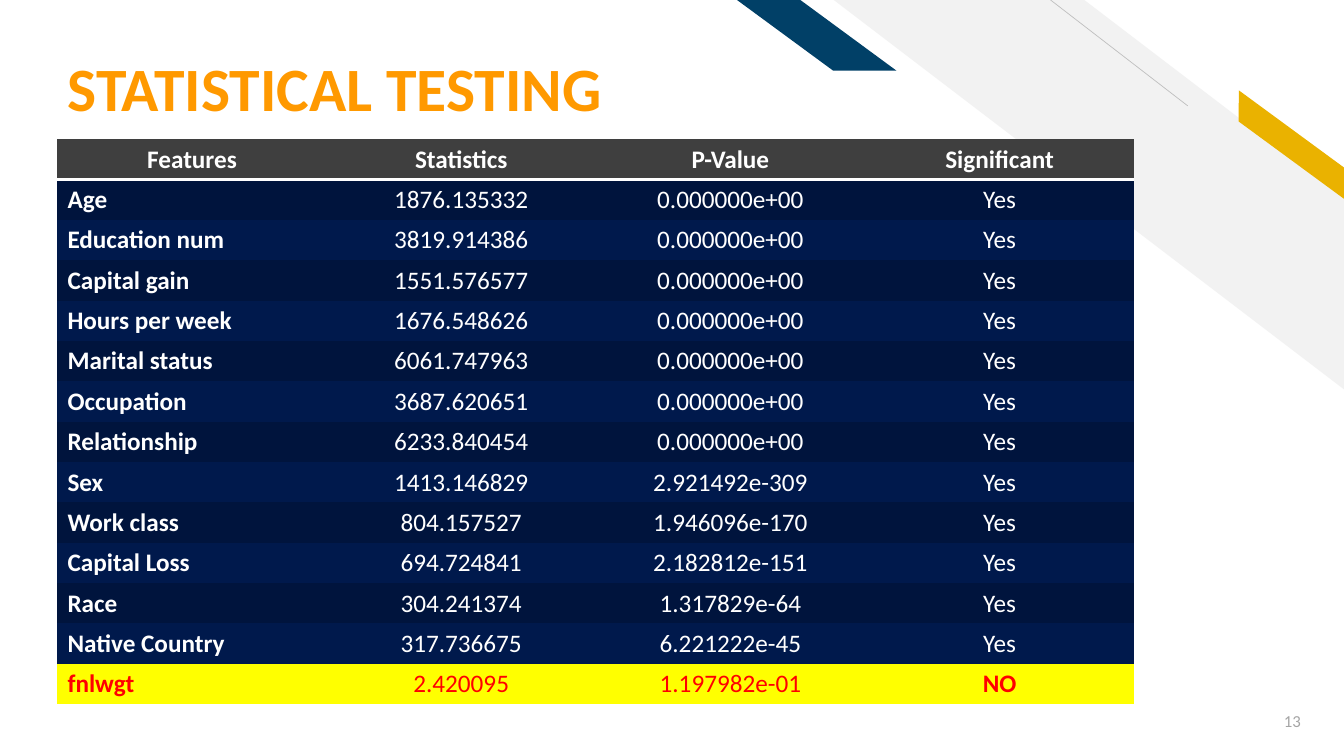
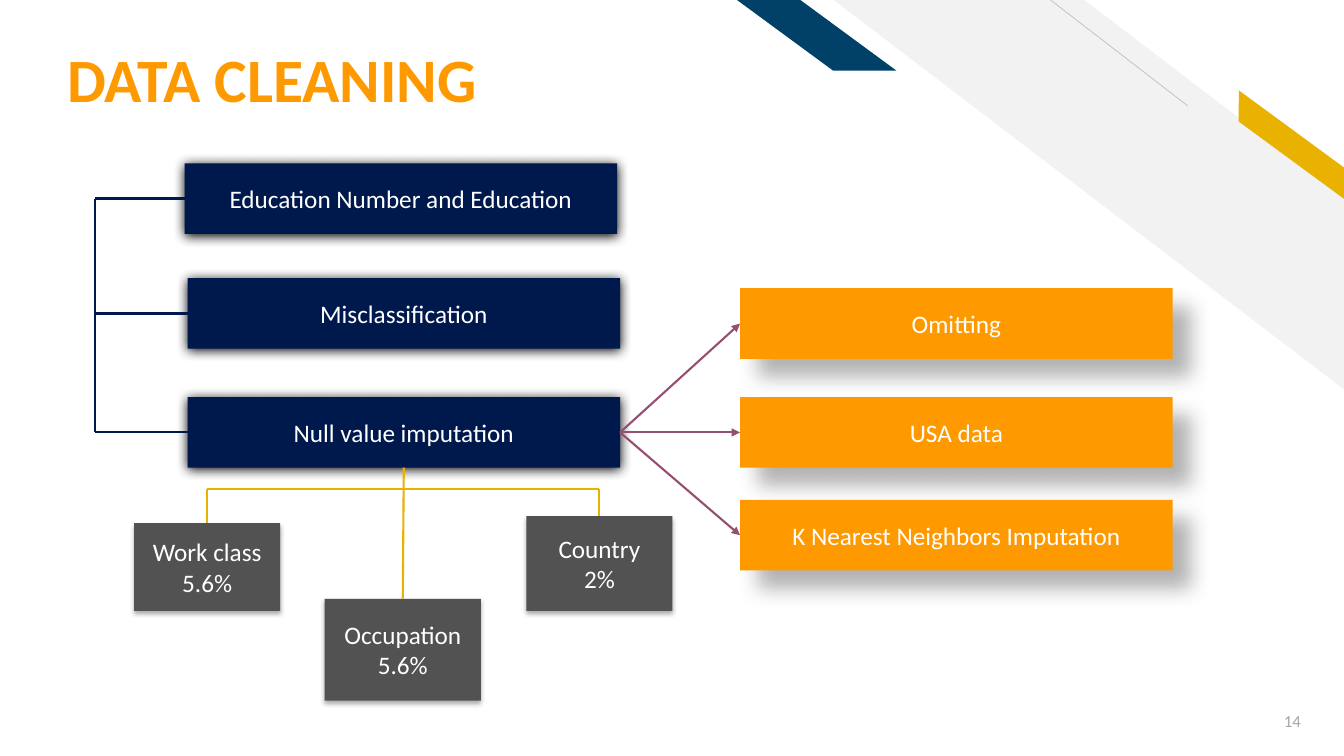
from dataclasses import dataclass

import lxml.etree
import pptx
import pptx.dml.color
import pptx.enum.shapes
import pptx.enum.text
import pptx.oxml.ns
import pptx.util

SHAPE = pptx.enum.shapes.MSO_SHAPE
ALIGN = pptx.enum.text.PP_ALIGN
ANCHOR = pptx.enum.text.MSO_ANCHOR
qn = pptx.oxml.ns.qn

EMU_PER_PX = 9144  # 100 px to the inch
PLAIN_TABLE_STYLE = "{2D5ABB26-0587-4C30-8999-92F81FD0307C}"


@dataclass(frozen=True)
class Shadow:
    opacity: int  # percent
    blur: float  # points
    distance: float  # points
    angle: int  # degrees


@dataclass(frozen=True)
class Theme:
    font: str = "Calibri"
    title_size: int = 44
    body_size: int = 18
    number_size: int = 12
    white: str = "FFFFFF"
    navy: str = "00194C"
    dark_navy: str = "00143D"
    orange: str = "FF9900"
    gold: str = "EAB200"
    teal: str = "014067"
    plum: str = "954F72"
    charcoal: str = "3F3F3F"
    gray: str = "525252"
    band_gray: str = "F2F2F2"
    line_gray: str = "BFBFBF"
    number_gray: str = "A5A5A5"
    yellow: str = "FFFF00"
    red: str = "FF0000"
    glow: Shadow = Shadow(100, 8.5, 1, 90)
    drop: Shadow = Shadow(30, 15, 18, 45)
    soft: Shadow = Shadow(32, 3.5, 2.2, 90)


THEME = Theme()


def px(length):
    return pptx.util.Emu(round(length * EMU_PER_PX))


def rgb(color):
    return pptx.dml.color.RGBColor.from_string(color)


def add_xml(parent, tag, **attributes):
    child = lxml.etree.SubElement(parent, qn(tag))
    for name, value in attributes.items():
        child.set(name, str(value))
    return child


class Deck:
    def __init__(self, width, height):
        self.presentation = pptx.Presentation()
        self.presentation.slide_width = px(width)
        self.presentation.slide_height = px(height)
        self.slide = None

    def start_slide(self, title, title_top, number):
        layout = self.presentation.slide_layouts[5]
        self.slide = self.presentation.slides.add_slide(layout)
        self.decorate()
        self.title(title, title_top)
        self.slide_number(number)

    def set_text(self, text_frame, text, color, size=THEME.body_size, bold=False,
                 align=ALIGN.CENTER):
        text_frame.text = text
        for paragraph in text_frame.paragraphs:
            paragraph.alignment = align
            for run in paragraph.runs:
                run.font.name = THEME.font
                run.font.size = pptx.util.Pt(size)
                run.font.bold = bold
                run.font.color.rgb = rgb(color)

    # Shared slide parts
    def decorate(self):
        self.stripe(SHAPE.DIAGONAL_STRIPE, 827, 0, 507, 387, 0.51, THEME.band_gray)
        self.line((1178, 105), (1042, 0), THEME.line_gray, 0.5)
        self.stripe(SHAPE.PARALLELOGRAM, 1207, 131, 148, 25, 0.72, THEME.gold, 36.3)
        self.stripe(SHAPE.PARALLELOGRAM, 731, 0, 158, 70, 1.36, THEME.teal)

    def stripe(self, kind, left, top, width, height, slant, color, rotation=0):
        shape = self.shape(kind, left, top, width, height, color)
        shape.adjustments[0] = slant
        shape.rotation = rotation
        shape.element.spPr.find(qn("a:xfrm")).set("flipH", "1")

    def title(self, text, top):
        title = self.slide.shapes.title
        title.left, title.top, title.width, title.height = map(px, (57, top, 559, 101))
        text_frame = title.text_frame
        text_frame.auto_size = pptx.enum.text.MSO_AUTO_SIZE.NONE
        text_frame.vertical_anchor = ANCHOR.BOTTOM
        text_frame.margin_bottom = 0
        self.set_text(text_frame, text, THEME.orange, THEME.title_size, True, ALIGN.LEFT)
        text_frame.paragraphs[0].line_spacing = 0.9

    def slide_number(self, number):
        box = self.slide.shapes.add_textbox(px(1219), px(695), px(81), px(40))
        box.text_frame.word_wrap = True
        box.text_frame.vertical_anchor = ANCHOR.MIDDLE
        self.set_text(box.text_frame, str(number), THEME.number_gray,
                      THEME.number_size, align=ALIGN.RIGHT)

    # Shapes and lines
    def shape(self, kind, left, top, width, height, color):
        shape = self.slide.shapes.add_shape(kind, *map(px, (left, top, width, height)))
        shape.shadow.inherit = False
        shape.fill.solid()
        shape.fill.fore_color.rgb = rgb(color)
        shape.line.fill.background()
        return shape

    def box(self, text, left, top, width, height, color, shadow):
        box = self.shape(SHAPE.RECTANGLE, left, top, width, height, color)
        effects = box.element.spPr.find(qn("a:effectLst"))
        outer = add_xml(effects, "a:outerShdw",
                        blurRad=pptx.util.Pt(shadow.blur),
                        dist=pptx.util.Pt(shadow.distance),
                        dir=shadow.angle * 60000, algn="ctr", rotWithShape=0)
        shade = add_xml(outer, "a:srgbClr", val="000000")
        add_xml(shade, "a:alpha", val=shadow.opacity * 1000)
        box.text_frame.vertical_anchor = ANCHOR.MIDDLE
        self.set_text(box.text_frame, text, THEME.white)
        return box

    def line(self, start, end, color, weight=1.5):
        connector = self.slide.shapes.add_connector(
            pptx.enum.shapes.MSO_CONNECTOR.STRAIGHT, *map(px, (*start, *end)))
        connector.line.color.rgb = rgb(color)
        connector.line.width = pptx.util.Pt(weight)
        add_xml(connector.element.spPr, "a:effectLst")
        return connector

    def polyline(self, points, color):
        for start, end in zip(points, points[1:]):
            self.line(start, end, color)

    def link(self, source, source_site, target, target_site, color, arrow=False):
        connector = self.line((0, 0), (0, 0), color)
        connector.begin_connect(source, source_site)
        connector.end_connect(target, target_site)
        if arrow:
            add_xml(connector.element.spPr.find(qn("a:ln")), "a:tailEnd", type="triangle")

    # Table
    def table(self, rows, left, top, column_width, row_height):
        frame = self.slide.shapes.add_table(
            len(rows), len(rows[0]), px(left), px(top),
            px(column_width * len(rows[0])), px(row_height * len(rows)))
        table = frame.table
        frame.element.find(".//" + qn("a:tableStyleId")).text = PLAIN_TABLE_STYLE
        last = len(rows) - 1
        for row_index, values in enumerate(rows):
            table.rows[row_index].height = px(row_height)
            header, highlight = row_index == 0, row_index == last
            if header:
                fill = THEME.charcoal
            elif highlight:
                fill = THEME.yellow
            else:
                fill = THEME.dark_navy if row_index % 2 else THEME.navy
            for column_index, value in enumerate(values):
                cell = table.cell(row_index, column_index)
                cell.fill.solid()
                cell.fill.fore_color.rgb = rgb(fill)
                cell.vertical_anchor = ANCHOR.MIDDLE
                label = column_index == 0
                verdict = highlight and column_index == len(values) - 1
                self.set_text(cell.text_frame, value,
                              THEME.red if highlight else THEME.white,
                              bold=header or label or verdict,
                              align=ALIGN.LEFT if label and not header else ALIGN.CENTER)
        self.header_border(frame, THEME.white, 2)

    def header_border(self, frame, color, weight):
        header = frame.element.find(".//" + qn("a:tr"))
        for properties in header.findall(qn("a:tc") + "/" + qn("a:tcPr")):
            border = add_xml(properties, "a:lnB", w=pptx.util.Pt(weight))
            add_xml(add_xml(border, "a:solidFill"), "a:srgbClr", val=color)
            properties.insert(0, border)  # borders come before the fill


# Slide content
ZERO = "0.000000e+00"
TEST_RESULTS = [
    ("Features", "Statistics", "P-Value", "Significant"),
    ("Age", "1876.135332", ZERO, "Yes"),
    ("Education num", "3819.914386", ZERO, "Yes"),
    ("Capital gain", "1551.576577", ZERO, "Yes"),
    ("Hours per week", "1676.548626", ZERO, "Yes"),
    ("Marital status", "6061.747963", ZERO, "Yes"),
    ("Occupation", "3687.620651", ZERO, "Yes"),
    ("Relationship", "6233.840454", ZERO, "Yes"),
    ("Sex", "1413.146829", "2.921492e-309", "Yes"),
    ("Work class", "804.157527", "1.946096e-170", "Yes"),
    ("Capital Loss", "694.724841", "2.182812e-151", "Yes"),
    ("Race", "304.241374", "1.317829e-64", "Yes"),
    ("Native Country", "317.736675", "6.221222e-45", "Yes"),
    ("fnlwgt", "2.420095", "1.197982e-01", "NO"),
]
CLEANING_STEPS = [
    ("Education Number and Education", 183, 162),
    ("Misclassification", 186, 276),
    ("Null value imputation", 186, 394),
]
IMPUTATION_OPTIONS = [
    ("Omitting", 286),
    ("USA data", 394),
    ("K Nearest Neighbors Imputation", 496),
]
NULL_SHARES = [
    ("Work class\n5.6%", 133, 519, 145, 87),
    ("Occupation\n5.6%", 322, 594, 155, 101),
    ("Country\n2%", 522, 512, 145, 94),
]


def build_testing(deck):
    deck.start_slide("STATISTICAL TESTING", 23, 13)
    deck.table(TEST_RESULTS, 57, 138, 267, 40)


def build_cleaning(deck):
    deck.start_slide("DATA CLEANING", 14, 14)
    width, height = 429, 70

    # Boxes
    steps = [deck.box(text, left, top, width, height, THEME.navy, THEME.glow)
             for text, left, top in CLEANING_STEPS]
    options = [deck.box(text, 734, top, width, height, THEME.orange, THEME.drop)
               for text, top in IMPUTATION_OPTIONS]
    shares = [deck.box(*share, THEME.gray, THEME.soft) for share in NULL_SHARES]
    null_step = steps[-1]

    # Bracket joining the steps
    trunk = 94
    first, middle, last = [(left, top + height // 2) for _, left, top in CLEANING_STEPS]
    deck.polyline([first, (trunk, first[1]), (trunk, last[1]), last], THEME.navy)
    deck.line(middle, (trunk, middle[1]), THEME.navy)

    # Tree from null values to their shares
    branch = 485
    deck.link(null_step, 2, shares[1], 0, THEME.gold)
    left_top, _, right_top = [(left + share_width // 2, top)
                              for _, left, top, share_width, _ in NULL_SHARES]
    deck.polyline([left_top, (left_top[0], branch), (right_top[0], branch), right_top],
                  THEME.gold)

    # Arrows to the imputation options
    for option in options:
        deck.link(null_step, 3, option, 1, THEME.plum, arrow=True)


def main():
    deck = Deck(1333, 750)
    build_testing(deck)
    build_cleaning(deck)
    deck.presentation.save("out.pptx")


if __name__ == "__main__":
    main()
